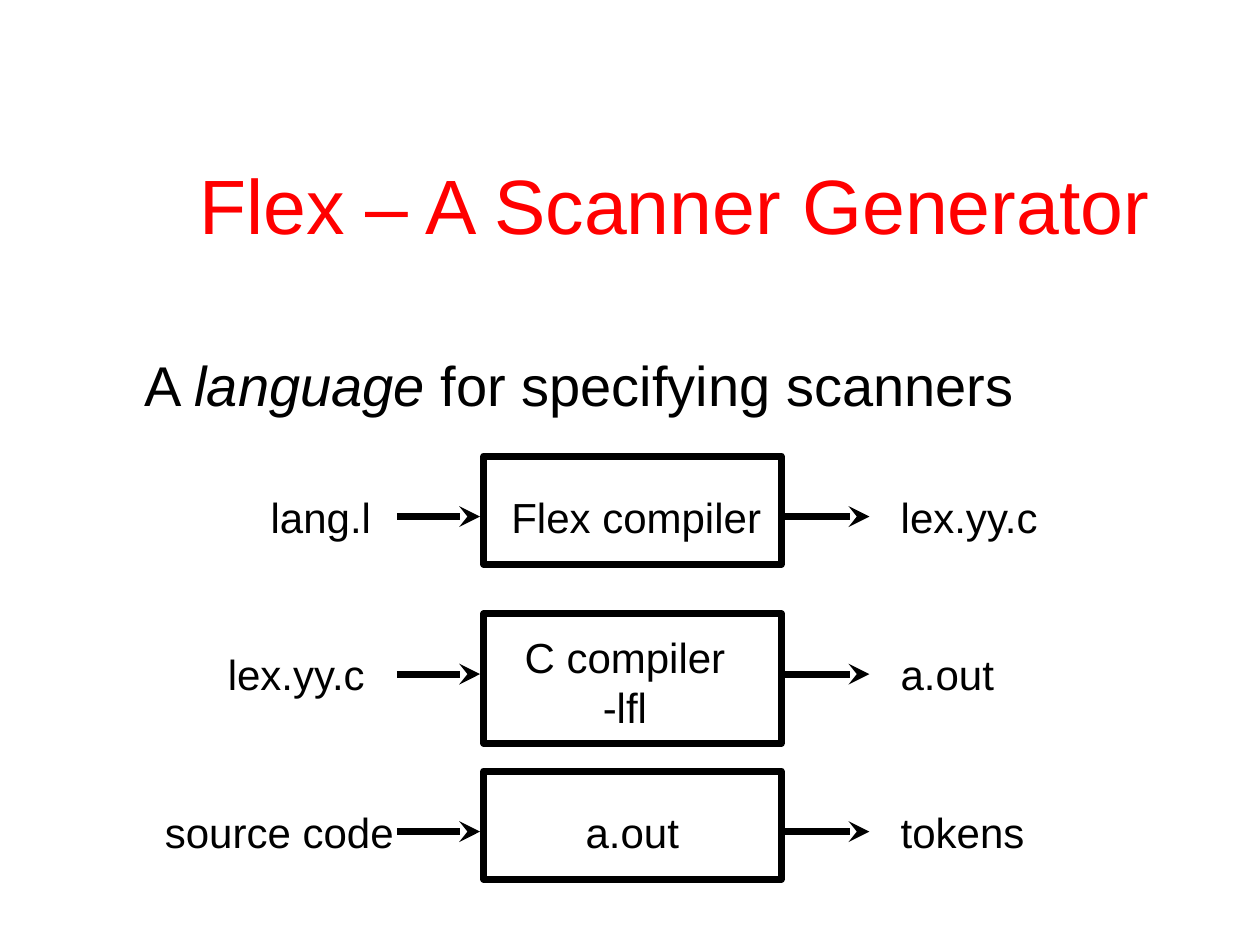
from dataclasses import dataclass

import lxml.etree
import pptx
import pptx.dml.color
import pptx.enum.shapes
import pptx.enum.text
import pptx.oxml.ns
import pptx.util

Inches, Pt = pptx.util.Inches, pptx.util.Pt
ALIGN = pptx.enum.text.PP_ALIGN
COLORS = {"title": "FF0000", "ink": "000000"}
FONT = "Arial"
LINE_WIDTH = 4

# The grid: one row per processing stage, fixed columns across the slide
FIRST_ROW, ROW = 3.62, 1.25
BOX_LEFT, BOX_WIDTH = 3.84, 2.36
ARROW_COLUMNS = ((3.15, 3.81), (6.23, 6.9))
OUTPUT_LEFT = 7.05
LABEL_DROP, ARROW_DROP = 0.23, 0.48
LABEL_HEIGHT = 0.5


@dataclass
class Label:
    lines: tuple[str, ...]
    left: float
    width: float
    drop: float = LABEL_DROP
    height: float = LABEL_HEIGHT
    align: ALIGN = ALIGN.LEFT


@dataclass
class Stage:
    source: Label
    tool: Label
    output: Label
    box_height: float = 0.86


STAGES = (
    Stage(Label(("lang.l",), 2.05, 1),
          Label(("Flex compiler",), 3.96, 2.18),
          Label(("lex.yy.c",), OUTPUT_LEFT, 1.31)),
    Stage(Label(("lex.yy.c",), 1.71, 1.31),
          Label(("C compiler", "-lfl"), 4.06, 1.8, 0.09, 0.9, ALIGN.CENTER),
          Label(("a.out",), OUTPUT_LEFT, 0.94), 1.03),
    Stage(Label(("source code",), 1.21, 2.02),
          Label(("a.out",), 4.55, 0.94),
          Label(("tokens",), OUTPUT_LEFT, 1.18)),
)


def rgb(name: str) -> pptx.dml.color.RGBColor:
    return pptx.dml.color.RGBColor.from_string(COLORS[name])


def style(p, size: float, color: str = "ink", align=ALIGN.LEFT) -> None:
    p.alignment = align
    p.font.name, p.font.size = FONT, Pt(size)
    p.font.color.rgb = rgb(color)


def add_text_box(s, left: float, top: float, width: float, height: float):
    sp = s.shapes.add_textbox(*map(Inches, (left, top, width, height)))
    tf = sp.text_frame
    tf.word_wrap = False
    tf.auto_size = pptx.enum.text.MSO_AUTO_SIZE.SHAPE_TO_FIT_TEXT
    return tf


def add_label(s, label: Label, row_top: float) -> None:
    tf = add_text_box(s, label.left, row_top + label.drop,
                      label.width, label.height)
    tf.text = "\n".join(label.lines)
    for p in tf.paragraphs:
        style(p, 24, align=label.align)


def add_box(s, top: float, height: float) -> None:
    sp = s.shapes.add_shape(
        pptx.enum.shapes.MSO_SHAPE.RECTANGLE,
        *map(Inches, (BOX_LEFT, top, BOX_WIDTH, height)))
    sp.shadow.inherit = False
    sp.fill.background()
    sp.line.color.rgb = rgb("ink")
    sp.line.width = Pt(LINE_WIDTH)


def add_arrow(s, start: float, end: float, y: float) -> None:
    sp = s.shapes.add_connector(
        pptx.enum.shapes.MSO_CONNECTOR.STRAIGHT,
        *map(Inches, (start, y, end, y)))
    sp.line.color.rgb = rgb("ink")
    sp.line.width = Pt(LINE_WIDTH)
    qn = pptx.oxml.ns.qn
    lxml.etree.SubElement(sp.line._get_or_add_ln(), qn("a:tailEnd"),
                          type="stealth")
    lxml.etree.SubElement(sp._element.spPr, qn("a:effectLst"))


def add_stage(s, stage: Stage, row: int) -> None:
    top = FIRST_ROW + row * ROW
    add_box(s, top, stage.box_height)
    add_label(s, stage.tool, top)
    for start, end in ARROW_COLUMNS:
        add_arrow(s, start, end, top + ARROW_DROP)
    add_label(s, stage.output, top)
    add_label(s, stage.source, top)


def add_title(s) -> None:
    sp = s.shapes.title
    sp.left, sp.top, sp.width, sp.height = map(Inches, (0.98, 0.99, 8.75, 1.25))
    tf = sp.text_frame
    tf.text = "Flex – A Scanner Generator"
    tf.auto_size = pptx.enum.text.MSO_AUTO_SIZE.NONE
    tf.vertical_anchor = pptx.enum.text.MSO_ANCHOR.MIDDLE
    style(tf.paragraphs[0], 44, "title", ALIGN.CENTER)


def add_statement(s) -> None:
    p = add_text_box(s, 1.05, 2.73, 7.13, 0.63).paragraphs[0]
    style(p, 32)
    for text, italic in (("A ", False), ("language", True),
                         (" for specifying scanners", False)):
        r = p.add_run()
        r.text, r.font.italic = text, italic


def main() -> None:
    prs = pptx.Presentation()
    prs.slide_width, prs.slide_height = Inches(10), Inches(7.5)
    s = prs.slides.add_slide(prs.slide_layouts.get_by_name("Title Only"))
    add_title(s)
    add_statement(s)
    for row, stage in enumerate(STAGES):
        add_stage(s, stage, row)
    prs.save("out.pptx")


if __name__ == "__main__":
    main()
